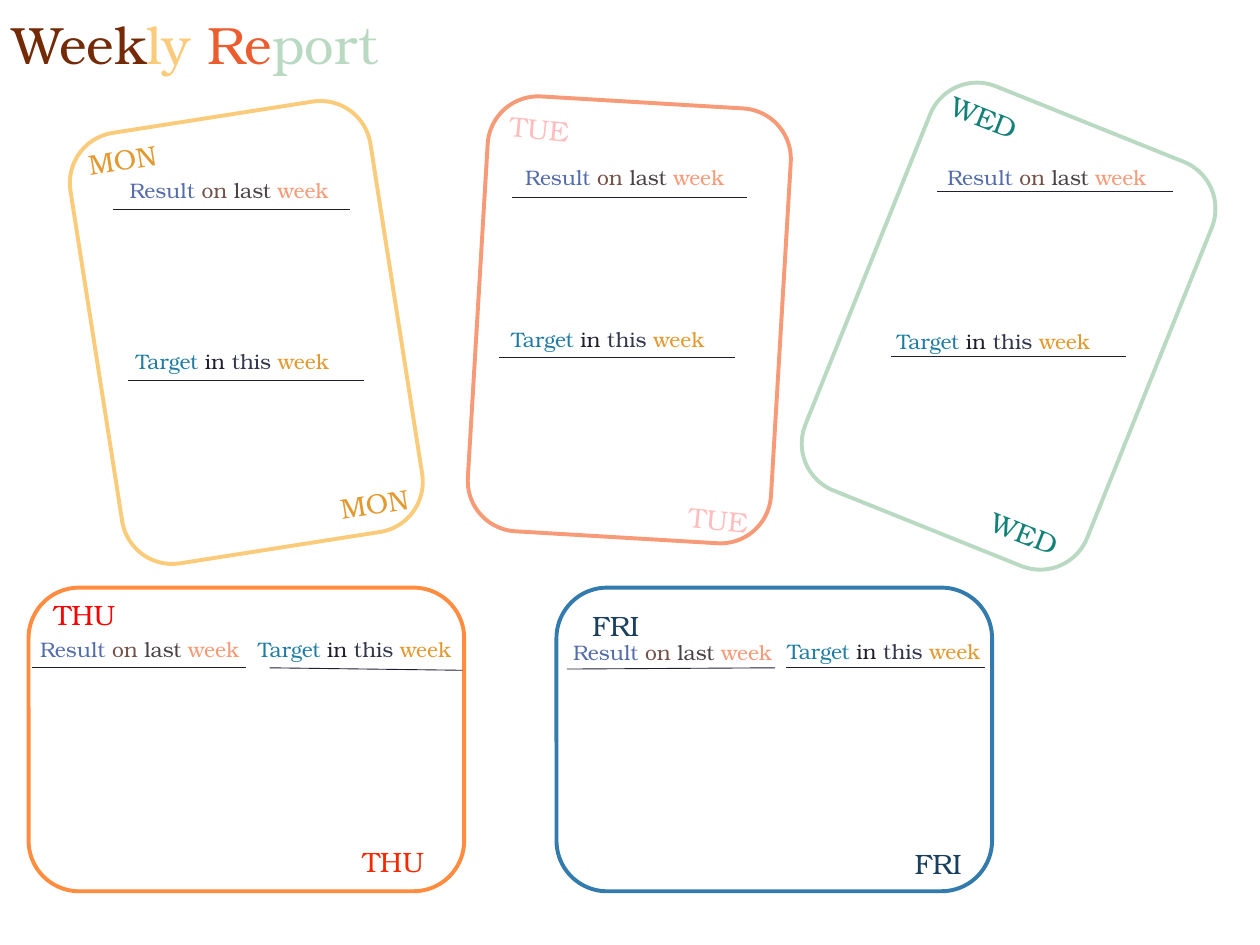
"""Build a weekly report slide with five day cards."""
import dataclasses
import typing

import lxml.etree
import pptx
import pptx.dml.color
import pptx.enum.shapes
import pptx.enum.text
import pptx.oxml.ns
import pptx.util

Point = tuple[float, float]
Runs = list[tuple[str, str]]

SLIDE_WIDTH, SLIDE_HEIGHT = 10, 7.5
CARD_WIDTH, CARD_HEIGHT = 0.241 * SLIDE_WIDTH, 0.461 * SLIDE_HEIGHT
LABEL_HEIGHT, HEADING_HEIGHT = 0.37, 0.3
FONT = "TeX Gyre Bonum"
COLORS = {
    "brown": "742907", "sand": "FACB7A", "brick": "EB5D2F", "mint": "B9D9C2",
    "salmon": "F69A77", "orange": "FF8C3F", "blue": "337AAD", "gold": "E2992F",
    "pink": "FFBEBD", "teal": "128177", "red": "FF0000", "scarlet": "F52900",
    "navy": "1A405E", "indigo": "546CAB", "cocoa": "745247", "taupe": "4A4245",
    "sea": "207CA2", "ink": "201F2F", "slate": "32374D",
}
TITLE: Runs = [("Week", "brown"), ("ly ", "sand"), ("Re", "brick"), ("port", "mint")]
RESULT: Runs = [("Result ", "indigo"), ("on ", "cocoa"), ("last ", "taupe"), ("week", "salmon")]
TARGET: Runs = [("Target ", "sea"), ("in ", "ink"), ("this ", "slate"), ("week", "gold")]


@dataclasses.dataclass(frozen=True)
class Section:
    """A heading and the rule below it."""
    heading: Point
    start: Point
    end: Point


@dataclasses.dataclass(frozen=True)
class DayCard:
    """A rounded card with two day labels and two sections."""
    day: str
    corner: Point
    rotation: float
    outline: str
    label_width: float
    label_rotation: float
    label_colors: tuple[str, str]
    labels: tuple[Point, Point]
    result: Section
    target: Section


CARDS = [
    DayCard("MON", (0.75, 0.91), 351.1, "sand", 0.76, 351, ("gold", "gold"),
            ((0.6, 1.08), (2.6, 3.81)),
            Section((0.93, 1.36), (0.9, 1.66), (2.78, 1.66)),
            Section((0.98, 2.72), (1.02, 3.02), (2.89, 3.02))),
    DayCard("TUE", (3.79, 0.81), 3.4, "salmon", 0.7, 5.3, ("pink", "pink"),
            ((3.95, 0.84), (5.37, 3.94)),
            Section((4.07, 1.26), (4.06, 1.57), (5.93, 1.57)),
            Section((3.96, 2.54), (3.96, 2.84), (5.83, 2.84))),
    DayCard("WED", (6.8, 0.86), 21.9, "mint", 0.77, 21.5, ("teal", "teal"),
            ((7.44, 0.75), (7.76, 4.05)),
            Section((7.42, 1.26), (7.44, 1.52), (9.31, 1.52)),
            Section((7.02, 2.56), (7.07, 2.83), (8.94, 2.83))),
    DayCard("THU", (0.75, 4.14), 90, "orange", 0.72, 0, ("red", "scarlet"),
            ((0.33, 4.69), (2.78, 6.65)),
            Section((0.22, 5), (0.25, 5.3), (1.95, 5.3)),
            Section((1.95, 5), (2.14, 5.3), (3.67, 5.32))),
    DayCard("FRI", (4.94, 4.14), 90, "blue", 0.62, 0, ("navy", "navy"),
            ((4.6, 4.78), (7.16, 6.67)),
            Section((4.45, 5.03), (4.5, 5.31), (6.15, 5.3)),
            Section((6.15, 5.02), (6.24, 5.3), (7.82, 5.3))),
]


def color(name: str) -> pptx.dml.color.RGBColor:
    """Return a named colour."""
    return pptx.dml.color.RGBColor.from_string(COLORS[name])


def inches(*lengths: float) -> list[pptx.util.Length]:
    """Convert lengths to slide units."""
    return [pptx.util.Inches(length) for length in lengths]


def add_text(slide: typing.Any, runs: Runs, *, at: Point, width: float, height: float,
             size: float, rotation: float = 0, wrap: bool = False) -> None:
    """Add one line of coloured runs."""
    box = slide.shapes.add_textbox(*inches(*at, width, height))
    box.rotation = rotation
    frame = box.text_frame
    frame.word_wrap = wrap
    frame.auto_size = pptx.enum.text.MSO_AUTO_SIZE.SHAPE_TO_FIT_TEXT
    paragraph = frame.paragraphs[0]
    for text, color_name in runs:
        run = paragraph.add_run()
        run.text = text
        run.font.name = FONT
        run.font.size = pptx.util.Pt(size)
        run.font.color.rgb = color(color_name)


def add_frame(slide: typing.Any, card: DayCard) -> None:
    """Add the rounded outline of a card."""
    shape = slide.shapes.add_shape(pptx.enum.shapes.MSO_SHAPE.ROUNDED_RECTANGLE,
                                   *inches(*card.corner, CARD_WIDTH, CARD_HEIGHT))
    shape.rotation = card.rotation
    shape.shadow.inherit = False
    shape.fill.background()
    shape.line.color.rgb = color(card.outline)
    shape.line.width = pptx.util.Pt(2.25)


def add_rule(slide: typing.Any, start: Point, end: Point) -> None:
    """Add a thin line under a heading."""
    line = slide.shapes.add_connector(pptx.enum.shapes.MSO_CONNECTOR.STRAIGHT,
                                      *inches(*start, *end))
    line.line.color.rgb = color("ink")
    line.line.width = pptx.util.Pt(0.5)
    properties = line._element.spPr
    lxml.etree.SubElement(properties, pptx.oxml.ns.qn("a:effectLst"))


def add_card(slide: typing.Any, card: DayCard) -> None:
    """Add a card with its labels, headings and rules."""
    add_frame(slide, card)
    for position, color_name in zip(card.labels, card.label_colors):
        add_text(slide, [(card.day, color_name)], at=position, width=card.label_width,
                 height=LABEL_HEIGHT, size=16, rotation=card.label_rotation)
    is_wide = card.rotation == 90
    add_text(slide, RESULT, at=card.result.heading, width=1.94 if is_wide else 1.87,
             height=HEADING_HEIGHT, size=12, wrap=is_wide)
    add_text(slide, TARGET, at=card.target.heading, width=1.85,
             height=HEADING_HEIGHT, size=12)
    for section in (card.result, card.target):
        add_rule(slide, section.start, section.end)


def main() -> None:
    """Build and save the presentation."""
    presentation = pptx.Presentation()
    presentation.slide_width, presentation.slide_height = inches(SLIDE_WIDTH, SLIDE_HEIGHT)
    slide = presentation.slides.add_slide(presentation.slide_layouts[6])
    for card in CARDS:
        add_card(slide, card)
    add_text(slide, TITLE, at=(0, 0.05), width=4.24, height=0.61, size=30, wrap=True)
    presentation.save("out.pptx")


main()
